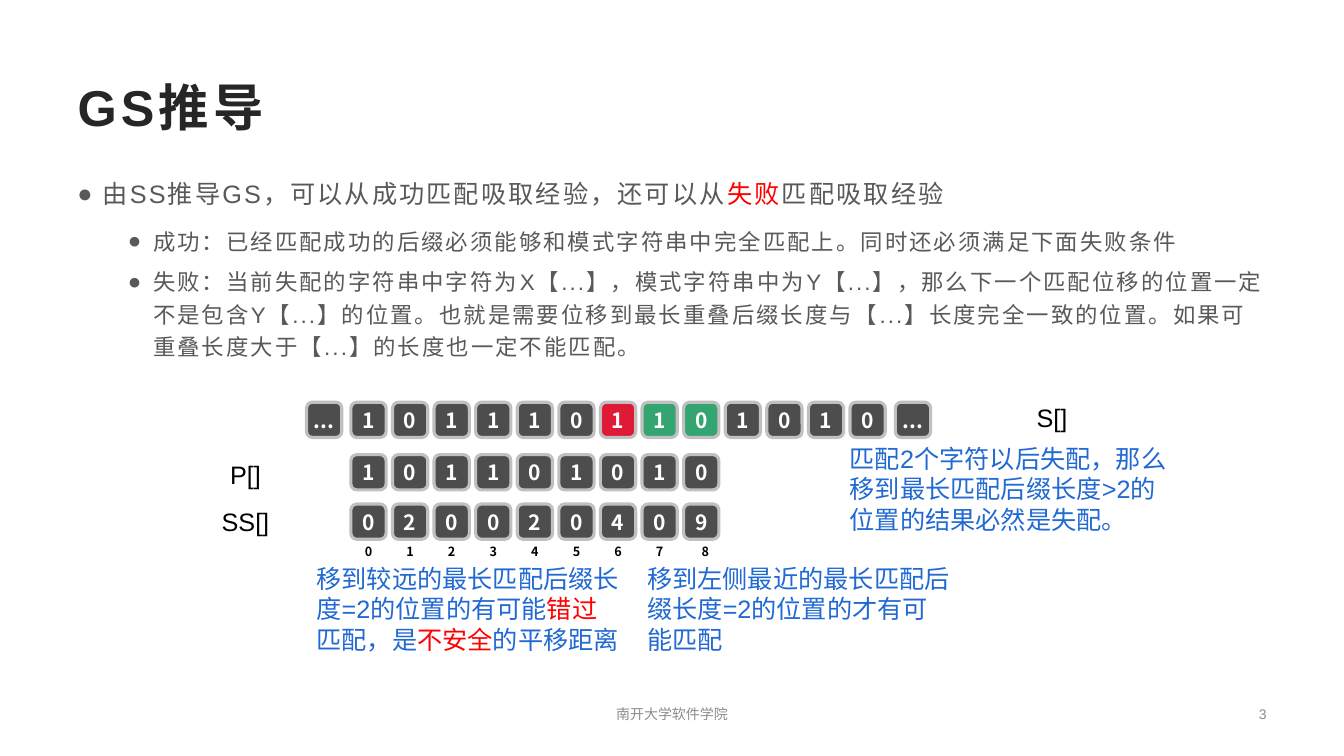
from lxml import etree
from pptx import Presentation
from pptx.dml.color import RGBColor
from pptx.enum import shapes, text
from pptx.oxml import ns
from pptx.util import Inches, Pt

INK = RGBColor(0x26, 0x26, 0x26)
BODY = RGBColor(0x59, 0x59, 0x59)
MUTED = RGBColor(0x8C, 0x8C, 0x8C)
RED = RGBColor(0xFF, 0x00, 0x00)
BLUE = RGBColor(0x21, 0x69, 0xD3)
BLACK = RGBColor(0x00, 0x00, 0x00)
WHITE = RGBColor(0xFF, 0xFF, 0xFF)
CELL = RGBColor(0x4D, 0x4D, 0x4D)
CELL_EDGE = RGBColor(0xC0, 0xC0, 0xC0)
MISMATCH = RGBColor(0xDE, 0x1A, 0x37)
MATCH = RGBColor(0x34, 0xA4, 0x71)
LATIN, CJK = "Arial", "Noto Sans CJK SC"
LEFT, CENTER, RIGHT = text.PP_ALIGN.LEFT, text.PP_ALIGN.CENTER, text.PP_ALIGN.RIGHT
TOP, MIDDLE = text.MSO_ANCHOR.TOP, text.MSO_ANCHOR.MIDDLE

TITLE = "GS推导"

# (indent, size, line spacing, space after, [(words, colour), ...])
BULLETS = [
    (0.25, 18, 1.3, 10, [("由SS推导GS，可以从成功匹配吸取经验，还可以从", BODY),
                         ("失败", RED), ("匹配吸取经验", BODY)]),
    (0.75, 16, 1.2, 6, [("成功：已经匹配成功的后缀必须能够和模式字符串中完全匹配上。"
                         "同时还必须满足下面失败条件", BODY)]),
    (0.75, 16, 1.2, 6, [("失败：当前失配的字符串中字符为X【...】，模式字符串中为Y【...】，"
                         "那么下一个匹配位移的位置一定不是包含Y【...】的位置。"
                         "也就是需要位移到最长重叠后缀长度与【...】长度完全一致的位置。"
                         "如果可重叠长度大于【...】的长度也一定不能匹配。", BODY)]),
]

# (left, top, width, height), size, alignment, anchor, [(words, colour), ...]
TEXTS = [
    ((1.72, 4.97, 1.43, 0.4), 18, CENTER, TOP, [("SS[]", BLACK)]),
    ((1.72, 4.51, 1.43, 0.4), 18, CENTER, TOP, [("P[]", BLACK)]),
    ((9.72, 3.94, 1.43, 0.4), 18, CENTER, TOP, [("S[]", BLACK)]),
    ((8.33, 4.35, 3.4, 1.01), 18, LEFT, TOP,
     [("匹配2个字符以后失配，那么移到最长匹配后缀长度>2的位置的结果必然是失配。", BLUE)]),
    ((6.32, 5.54, 3.21, 1.01), 18, LEFT, TOP,
     [("移到左侧最近的最长匹配后缀长度=2的位置的才有可能匹配", BLUE)]),
    ((3.04, 5.54, 3.21, 1.01), 18, LEFT, TOP,
     [("移到较远的最长匹配后缀长度=2的位置的有可能", BLUE), ("错过", RED),
      ("匹配，是", BLUE), ("不安全", RED), ("的平移距离", BLUE)]),
    ((9.71, 6.91, 2.95, 0.35), 10, RIGHT, MIDDLE, [("3", MUTED)]),
    ((4.5, 6.91, 4.33, 0.35), 10, CENTER, MIDDLE, [("南开大学软件学院", MUTED)]),
]

FIRST_X, LAST_X, CELL_SIZE = 3.48, 8.43, 0.35
PITCH = (LAST_X - FIRST_X) / 12


def columns(digits):
    return [(digit, FIRST_X + i * PITCH) for i, digit in enumerate(digits)]


INDEX_Y, S_Y, P_Y, SS_Y = 5.3, 3.99, 4.51, 5.0
ROWS = [
    (INDEX_Y, columns("01234567") + [("8", 6.82)]),
    (P_Y, columns("101101010")),
    (SS_Y, columns("020020409")),
    (S_Y, [("...", 3.04)] + columns("1011101101010") + [("...", 8.88)]),
]
S_COLOURS = {7: MISMATCH, 8: MATCH, 9: MATCH}


def add_runs(paragraph, pieces, size, font=LATIN, bold=False, spacing=0):
    for words, colour in pieces:
        run = paragraph.add_run()
        run.text = words
        for name, value in dict(name=font, size=Pt(size), bold=bold).items():
            setattr(run.font, name, value)
        run.font.color.rgb = colour
        properties = run._r.get_or_add_rPr()
        if spacing:
            properties.set("spc", str(int(spacing * 100)))
        etree.SubElement(properties, ns.qn("a:ea"), typeface=CJK)


def set_bullet(paragraph, indent):
    properties = paragraph._p.get_or_add_pPr()
    properties.set("marL", str(Inches(indent)))
    properties.set("indent", str(Inches(-0.25)))
    etree.SubElement(properties, ns.qn("a:buFont"), typeface=LATIN)
    etree.SubElement(properties, ns.qn("a:buChar"), char="●")


def add_text_box(slide, box, anchor=TOP):
    frame = slide.shapes.add_textbox(*map(Inches, box)).text_frame
    frame.word_wrap = True
    frame.vertical_anchor = anchor
    return frame


def add_cell(slide, digit, x, y, fill, edge, ink, size):
    cell = slide.shapes.add_shape(shapes.MSO_SHAPE.ROUNDED_RECTANGLE,
                                  *map(Inches, (x, y, CELL_SIZE, CELL_SIZE)))
    cell.shadow.inherit = False
    cell.fill.solid()
    cell.fill.fore_color.rgb = fill
    if edge:
        cell.line.color.rgb = edge
        cell.line.width = Pt(2.25)
    else:
        cell.line.fill.background()
    frame = cell.text_frame
    layout = dict(margin_left=0, margin_right=0, margin_top=0, margin_bottom=0,
                  word_wrap=False, vertical_anchor=MIDDLE)
    for name, value in layout.items():
        setattr(frame, name, value)
    frame.paragraphs[0].alignment = CENTER
    add_runs(frame.paragraphs[0], [(digit, ink)], size, CJK, True)


def main():
    deck = Presentation()
    deck.slide_width, deck.slide_height = Inches(13.33), Inches(7.5)
    slide = deck.slides.add_slide(deck.slide_layouts[5])

    title = slide.shapes.title
    title.left, title.top, title.width, title.height = map(Inches, (0.67, 0.67, 12, 0.77))
    title.text_frame.auto_size = text.MSO_AUTO_SIZE.NONE
    title.text_frame.vertical_anchor = MIDDLE
    heading = title.text_frame.paragraphs[0]
    heading.alignment = LEFT
    add_runs(heading, [(TITLE, INK)], 36, bold=True, spacing=3)

    body = add_text_box(slide, (0.67, 1.63, 12, 2.02))
    for i, (indent, size, line_spacing, after, pieces) in enumerate(BULLETS):
        paragraph = body.add_paragraph() if i else body.paragraphs[0]
        paragraph.line_spacing = line_spacing
        paragraph.space_after = Pt(after)
        set_bullet(paragraph, indent)
        add_runs(paragraph, pieces, size, spacing=1.5)

    for y, cells in ROWS:
        for i, (digit, x) in enumerate(cells):
            if y == INDEX_Y:
                add_cell(slide, digit, x, y, WHITE, None, BLACK, 9)
            else:
                fill = S_COLOURS.get(i, CELL) if y == S_Y else CELL
                add_cell(slide, digit, x, y, fill, CELL_EDGE, WHITE, 15)

    for box, size, alignment, anchor, pieces in TEXTS:
        paragraph = add_text_box(slide, box, anchor).paragraphs[0]
        paragraph.alignment = alignment
        add_runs(paragraph, pieces, size)

    deck.save("out.pptx")


if __name__ == "__main__":
    main()
